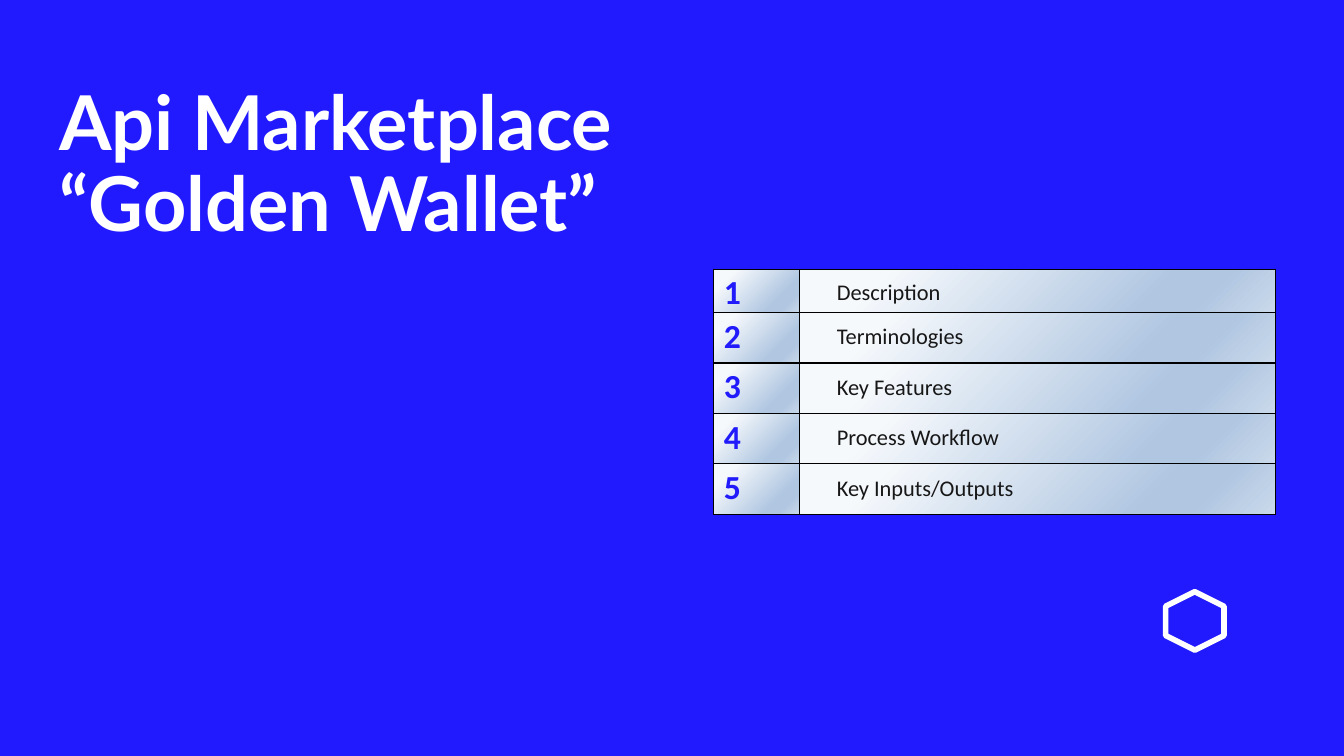
from lxml import etree
from pptx import Presentation, util as u
from pptx.dml.color import RGBColor
from pptx.enum import shapes, text
from pptx.oxml import parse_xml

COLORS = {"back": "221AFF", "white": "FFFFFF", "num": "211AFA",
          "ink": "171717", "edge": "000000", "pale": "F6F9FC",
          "mid": "B0C6E1", "soft": "CAD9EB"}
STOPS = [(17, "pale"), (74, "mid"), (83, "mid"), (100, "soft")]
TOPICS = ["Description", "Terminologies", "Key Features",
          "Process Workflow", "Key Inputs/Outputs"]
COLS = [0.85, 4.72]
ROWS = [0.43] + [0.5] * 4
LOOKS = [
    {"left": 0.1, "top": 0.03, "color": "num", "spc": "-20",
     "font": {"name": "Calibri", "size": u.Pt(24), "bold": True}},
    {"left": 0.37, "top": 0.1, "color": "ink", "spc": "0",
     "font": {"name": "Calibri", "size": u.Pt(16), "bold": False}},
]
NS = "http://schemas.openxmlformats.org/drawingml/2006/main"


def style(run, font, color):
    for key, value in font.items():
        setattr(run.font, key, value)
    run.font.color.rgb = RGBColor.from_string(COLORS[color])


def dress(cell):
    props = cell._tc.get_or_add_tcPr()
    for side in "LRTB":
        props.append(parse_xml(
            f'<a:ln{side} xmlns:a="{NS}" w="12700"><a:solidFill>'
            f'<a:srgbClr val="{COLORS["edge"]}"/></a:solidFill></a:ln{side}>'))
    grad = etree.SubElement(props, f"{{{NS}}}gradFill")
    stops = etree.SubElement(grad, f"{{{NS}}}gsLst")
    for pos, name in STOPS:
        stop = etree.SubElement(stops, f"{{{NS}}}gs", pos=str(pos * 1000))
        etree.SubElement(stop, f"{{{NS}}}srgbClr", val=COLORS[name])
    etree.SubElement(grad, f"{{{NS}}}lin", ang="2700000", scaled="0")


deck = Presentation()
deck.slide_width, deck.slide_height = u.Inches(13.33), u.Inches(7.5)
slide = deck.slides.add_slide(deck.slide_layouts[6])
back = slide.background.fill
back.solid()
back.fore_color.rgb = RGBColor.from_string(COLORS["back"])

mark = slide.shapes.add_shape(shapes.MSO_SHAPE.HEXAGON, u.Inches(11.56),
                              u.Inches(5.87), u.Inches(0.58), u.Inches(0.58))
mark.shadow.inherit = False
mark.rotation = 90
mark.fill.background()
mark.line.color.rgb = RGBColor.from_string(COLORS["white"])
mark.line.width = u.Pt(4)

title = slide.shapes.add_textbox(u.Inches(0.58), u.Inches(0.71),
                                 u.Inches(6.42), u.Inches(1.74))
frame = title.text_frame
for key, value in {"word_wrap": True, "margin_left": u.Inches(0.01),
                   "margin_top": u.Inches(0.12), "margin_right": 0,
                   "margin_bottom": 0,
                   "vertical_anchor": text.MSO_ANCHOR.TOP}.items():
    setattr(frame, key, value)
head = frame.paragraphs[0]
head.text = "Api Marketplace\v“Golden Wallet”"
head.line_spacing = u.Pt(58.3)
for run in head.runs:
    style(run, {"name": "Lato", "size": u.Pt(54), "bold": True}, "white")

table = slide.shapes.add_table(len(ROWS), len(COLS), u.Inches(7.08), u.Inches(2.67),
                               u.Inches(sum(COLS)), u.Inches(sum(ROWS))).table
table.first_row = table.horz_banding = False
for col, width in zip(table.columns, COLS):
    col.width = u.Inches(width)
for i, topic in enumerate(TOPICS):
    table.rows[i].height = u.Inches(ROWS[i])
    for j, (words, look) in enumerate(zip((str(i + 1), topic), LOOKS)):
        cell = table.cell(i, j)
        top = look["top"] + (0.01 if i else 0)
        for key, value in {"margin_left": u.Inches(look["left"]),
                           "margin_top": u.Inches(top),
                           "margin_right": 0, "margin_bottom": 0}.items():
            setattr(cell, key, value)
        run = cell.text_frame.paragraphs[0].add_run()
        run.text = words
        style(run, look["font"], look["color"])
        run.font._element.set("spc", look["spc"])
        dress(cell)

deck.save("out.pptx")
